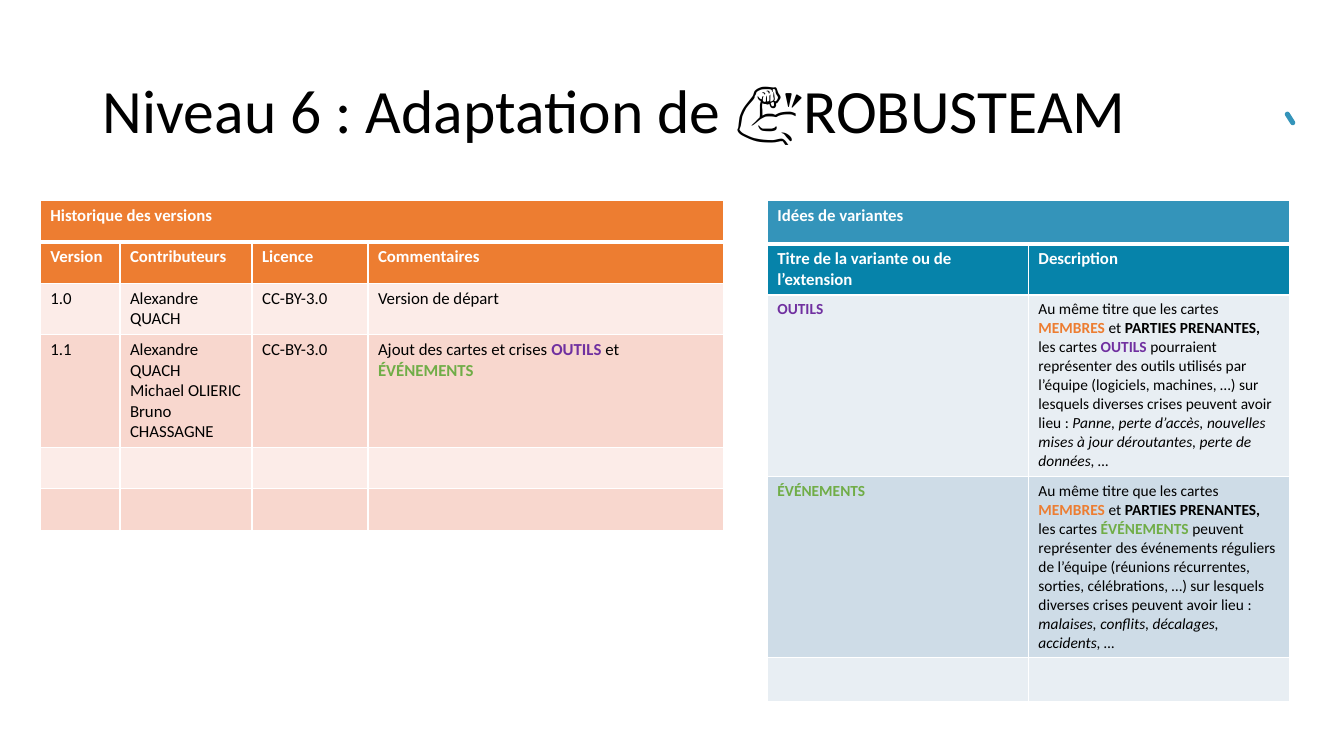
from lxml.etree import SubElement
from pptx import Presentation
from pptx.dml.color import RGBColor
from pptx.enum.shapes import MSO_SHAPE as Shape
from pptx.enum.text import MSO_ANCHOR as Anchor, PP_ALIGN as Align
from pptx.oxml.ns import qn
from pptx.util import Inches, Pt

FONT = "Calibri"
BLACK = RGBColor(0x00, 0x00, 0x00)
WHITE = RGBColor(0xFF, 0xFF, 0xFF)
BLUE = RGBColor(0x34, 0x94, 0xBA)
DEEP_BLUE = RGBColor(0x06, 0x83, 0xAA)
ORANGE = RGBColor(0xED, 0x7D, 0x31)
PURPLE = RGBColor(0x70, 0x30, 0xA0)
GREEN = RGBColor(0x70, 0xAD, 0x47)
BLUE_BANDS = (RGBColor(0xE8, 0xEE, 0xF3), RGBColor(0xCE, 0xDC, 0xE7))
ORANGE_BANDS = (RGBColor(0xFC, 0xEC, 0xE8), RGBColor(0xF8, 0xD7, 0xCE))

# Words that keep their own bold colour wherever they occur
MEMBERS = ("MEMBRES", ORANGE)
STAKEHOLDERS = ("PARTIES PRENANTES, ", BLACK)
TOOLS = ("OUTILS", PURPLE)
EVENTS = ("ÉVÉNEMENTS", GREEN)


def describe(keyword, purpose, examples):
    """One paragraph: a str is plain, a pair is bold and coloured, a set is italic."""
    return ["Au même titre que les cartes ", MEMBERS, " et ", STAKEHOLDERS,
            "les cartes ", keyword, purpose, {examples}]


# A cell is a list of paragraphs, a paragraph is a list of pieces
HISTORY = [
    [[["1.0"]], [["Alexandre QUACH"]], [["CC-BY-3.0"]], [["Version de départ"]]],
    [[["1.1"]],
     [["Alexandre QUACH"], ["Michael OLIERIC"], ["Bruno CHASSAGNE"]],
     [["CC-BY-3.0"]],
     [["Ajout des cartes et crises ", TOOLS, " et ", EVENTS]]],
    [[]] * 4,
    [[]] * 4,
]
VARIANTS = [
    [[[TOOLS]], [describe(
        TOOLS,
        " pourraient représenter des outils utilisés par l’équipe (logiciels, machines, …)"
        " sur lesquels diverses crises peuvent avoir lieu : ",
        "Panne, perte d’accès, nouvelles mises à jour déroutantes, perte de données, …")]],
    [[[EVENTS]], [describe(
        EVENTS,
        " peuvent représenter des événements réguliers de l’équipe (réunions récurrentes,"
        " sorties, célébrations, …) sur lesquels diverses crises peuvent avoir lieu : ",
        "malaises, conflits, décalages, accidents, …")]],
    [[]] * 2,
]


def set_borders(cell, bottom=1):
    props = cell._tc.get_or_add_tcPr()
    for index, (side, width) in enumerate(
            (("lnL", 1), ("lnR", 1), ("lnT", 1), ("lnB", bottom))):
        line = SubElement(props, qn(f"a:{side}"), w=str(Pt(width)))
        fill = SubElement(line, qn("a:solidFill"))
        SubElement(fill, qn("a:srgbClr"), val=str(WHITE))
        props.insert(index, line)


def style_cell(cell, color, bottom=1):
    cell.fill.solid()
    cell.fill.fore_color.rgb = color
    set_borders(cell, bottom)


def write_paragraph(paragraph, pieces, size):
    for piece in pieces:
        run = paragraph.add_run()
        if isinstance(piece, tuple):
            run.text, run.font.color.rgb = piece
            run.font.bold = True
        elif isinstance(piece, set):
            run.text = "".join(piece)
            run.font.italic = True
        else:
            run.text = piece
    font = paragraph.font
    font.name, font.size, font.bold = FONT, Pt(size), False
    font.color.rgb = BLACK


def write_cell(cell, paragraphs, size):
    frame = cell.text_frame
    for index, pieces in enumerate(paragraphs or [[]]):
        paragraph = frame.add_paragraph() if index else frame.paragraphs[0]
        write_paragraph(paragraph, pieces, size)


def add_titled_table(slide, left, widths, heights, title, headings, body,
                     header_colors, bands, size):
    table = slide.shapes.add_table(
        len(heights), len(widths), Inches(left), Inches(1.99),
        Inches(sum(widths)), Inches(sum(heights))).table
    table.first_row = table.horz_banding = False
    for column, width in zip(table.columns, widths):
        column.width = Inches(width)
    for row, height in zip(table.rows, heights):
        row.height = Inches(height)

    # Title row and column headings
    table.cell(0, 0).merge(table.cell(0, len(widths) - 1))
    write_cell(table.cell(0, 0), [[(title, WHITE)]], 12)
    for column, heading in enumerate(headings):
        style_cell(table.cell(0, column), header_colors[0], bottom=3)
        style_cell(table.cell(1, column), header_colors[1])
        write_cell(table.cell(1, column), [[(heading, WHITE)]], 12)

    # Banded body
    for row, contents in enumerate(body):
        for column, paragraphs in enumerate(contents):
            cell = table.cell(row + 2, column)
            style_cell(cell, bands[row % 2])
            write_cell(cell, paragraphs, size)


def add_title(slide, text):
    title = slide.shapes.title
    title.left, title.top = Inches(0.92), Inches(0.4)
    title.width, title.height = Inches(11.5), Inches(1.45)
    title.text_frame.vertical_anchor = Anchor.MIDDLE
    title.text_frame.text = text
    paragraph = title.text_frame.paragraphs[0]
    paragraph.alignment = Align.LEFT
    paragraph.line_spacing = 0.9
    paragraph.font.name, paragraph.font.size = FONT, Pt(44)
    paragraph.font.color.rgb = BLACK


def add_accent_stroke(slide):
    stroke = slide.shapes.add_shape(
        Shape.ROUNDED_RECTANGLE, Inches(12.72), Inches(1.15), Inches(0.15), Inches(0.05))
    stroke.adjustments[0] = 0.5
    stroke.rotation = 57.7
    stroke.shadow.inherit = False
    stroke.fill.solid()
    stroke.fill.fore_color.rgb = BLUE
    stroke.line.fill.background()


def main():
    deck = Presentation()
    deck.slide_width, deck.slide_height = Inches(13.33), Inches(7.5)
    slide = deck.slides.add_slide(deck.slide_layouts[5])
    add_title(slide, "Niveau 6 : Adaptation de 💪ROBUSTEAM")
    add_accent_stroke(slide)
    add_titled_table(
        slide, 7.61, [2.59] * 2, [0.43, 0.5, 1.8, 1.8, 0.43],
        "Idées de variantes", ["Titre de la variante ou de l’extension", "Description"],
        VARIANTS, (BLUE, DEEP_BLUE), BLUE_BANDS, 11)
    add_titled_table(
        slide, 0.4, [0.79, 1.31, 1.15, 3.53], [0.41, 0.41, 0.51, 1.12, 0.41, 0.41],
        "Historique des versions", ["Version", "Contributeurs", "Licence", "Commentaires"],
        HISTORY, (ORANGE, ORANGE), ORANGE_BANDS, 12)
    deck.save("out.pptx")


if __name__ == "__main__":
    main()
